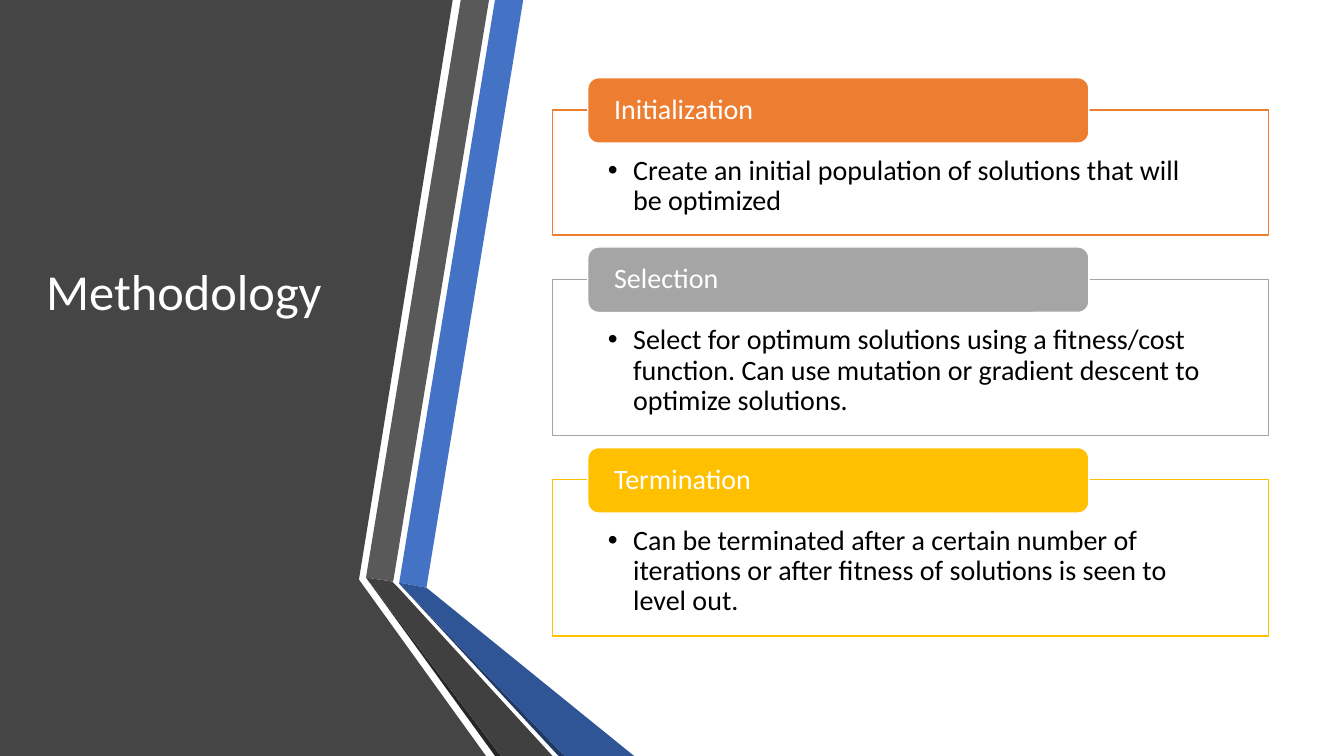
import pptx
import pptx.util
import pptx.dml.color
import pptx.enum.shapes
import pptx.enum.text
import pptx.oxml.ns
from lxml import etree

Inches, Pt = pptx.util.Inches, pptx.util.Pt
RGBColor = pptx.dml.color.RGBColor
MSO_SHAPE = pptx.enum.shapes.MSO_SHAPE
MSO_ANCHOR = pptx.enum.text.MSO_ANCHOR
PP_ALIGN = pptx.enum.text.PP_ALIGN
qn = pptx.oxml.ns.qn

WHITE = RGBColor(0xFF, 0xFF, 0xFF)
BLACK = RGBColor(0, 0, 0)
PANEL = RGBColor(0x45, 0x45, 0x45)
BLUE = RGBColor(0x44, 0x72, 0xC4)
MID_BLUE = RGBColor(0x2F, 0x55, 0x97)
DARK_BLUE = RGBColor(0x20, 0x38, 0x64)
GRAY = RGBColor(0x59, 0x59, 0x59)
DARK_GRAY = RGBColor(0x40, 0x40, 0x40)
DEEP_GRAY = RGBColor(0x26, 0x26, 0x26)
ORANGE = RGBColor(0xED, 0x7D, 0x31)
SILVER = RGBColor(0xA5, 0xA5, 0xA5)
GOLD = RGBColor(0xFF, 0xC0, 0x00)

FONT = "Calibri"
TITLE = "Methodology"
STEPS = [
    ("Initialization", ORANGE, 1.24,
     "Create an initial population of solutions that will be optimized"),
    ("Selection", SILVER, 1.55,
     "Select for optimum solutions using a fitness/cost function. "
     "Can use mutation or gradient descent to optimize solutions."),
    ("Termination", GOLD, 1.55,
     "Can be terminated after a certain number of iterations "
     "or after fitness of solutions is seen to level out."),
]
RIBBONS = [
    (PANEL, [(0, 0), (4.49, 0), (3.56, 5.75), (4.82, 7.5), (0, 7.5)]),
    (BLUE, [(3.96, 5.78), (4.23, 5.83), (5.19, 0), (4.91, 0)]),
    (GRAY, [(4.85, 0), (4.57, 0), (3.63, 5.73), (3.9, 5.77)]),
    (DEEP_GRAY, [(3.63, 5.73), (4.91, 7.5), (4.97, 7.5)]),
    (DARK_BLUE, [(3.96, 5.79), (5.54, 7.5), (5.6, 7.5)]),
    (MID_BLUE, [(3.96, 5.79), (5.6, 7.5), (6.29, 7.5), (4.23, 5.83), (3.96, 5.78)]),
    (DARK_GRAY, [(5.48, 7.5), (3.95, 5.83), (3.89, 5.77), (3.63, 5.73), (4.97, 7.5)]),
]
BODY_LEFT, BODY_WIDTH = 5.48, 7.1
FIRST_TOP, GAP = 1.09, 0.44
HEAD_LEFT, HEAD_WIDTH, HEAD_HEIGHT, HEAD_RISE = 5.83, 4.97, 0.65, 0.32


def add_ribbon(shapes, color, points):
    pts = [(Inches(x), Inches(y)) for x, y in points]
    builder = shapes.build_freeform(*pts[0], scale=1.0)
    builder.add_line_segments(pts[1:], close=True)
    sp = builder.convert_to_shape()
    sp.shadow.inherit = False
    sp.fill.solid()
    sp.fill.fore_color.rgb = color
    sp.line.fill.background()


def add_box(shapes, kind, box, fill, line, text, color, insets, anchor):
    sp = shapes.add_shape(kind, *[Inches(v) for v in box])
    sp.shadow.inherit = False
    sp.fill.solid()
    sp.fill.fore_color.rgb = fill
    sp.line.color.rgb = line
    sp.line.width = Pt(1)
    tf = sp.text_frame
    tf.word_wrap = True
    tf.vertical_anchor = anchor
    tf.margin_left, tf.margin_top, tf.margin_right, tf.margin_bottom = [
        Inches(v) for v in insets]
    tf.text = text
    p = tf.paragraphs[0]
    p.alignment = PP_ALIGN.LEFT
    p.line_spacing = 0.9
    style_run(p.runs[0], 20, color)
    return sp


def style_run(r, size, color):
    r.font.name = FONT
    r.font.size = Pt(size)
    r.font.color.rgb = color


def add_bullet(p):
    pPr = p._p.get_or_add_pPr()
    pPr.set("marL", str(Inches(0.25)))
    pPr.set("indent", str(Inches(-0.25)))
    etree.SubElement(pPr, qn("a:buFont"), typeface="Arial")
    etree.SubElement(pPr, qn("a:buChar"), char="•")


def set_opacity(sp, percent):
    clr = sp._element.spPr.find(qn("a:solidFill")).find(qn("a:srgbClr"))
    etree.SubElement(clr, qn("a:alpha"), val=str(percent * 1000))


def main():
    prs = pptx.Presentation()
    prs.slide_width, prs.slide_height = Inches(13.33), Inches(7.5)
    shapes = prs.slides.add_slide(prs.slide_layouts[6]).shapes

    for color, points in RIBBONS:
        add_ribbon(shapes, color, points)

    top = FIRST_TOP
    for name, color, height, detail in STEPS:
        body = add_box(shapes, MSO_SHAPE.RECTANGLE, (BODY_LEFT, top, BODY_WIDTH, height),
                       WHITE, color, detail, BLACK, (0.55, 0.46, 0.55, 0.16), MSO_ANCHOR.TOP)
        set_opacity(body, 90)
        add_bullet(body.text_frame.paragraphs[0])
        add_box(shapes, MSO_SHAPE.ROUNDED_RECTANGLE,
                (HEAD_LEFT, top - HEAD_RISE, HEAD_WIDTH, HEAD_HEIGHT),
                color, WHITE, name, WHITE, (0.23, 0, 0.23, 0), MSO_ANCHOR.MIDDLE)
        top += height + GAP

    title = shapes.add_textbox(Inches(0.36), Inches(2.53), Inches(2.96), Inches(0.71))
    tf = title.text_frame
    tf.word_wrap = False
    tf.auto_size = pptx.enum.text.MSO_AUTO_SIZE.SHAPE_TO_FIT_TEXT
    tf.text = TITLE
    style_run(tf.paragraphs[0].runs[0], 36, WHITE)

    prs.save("out.pptx")


if __name__ == "__main__":
    main()
